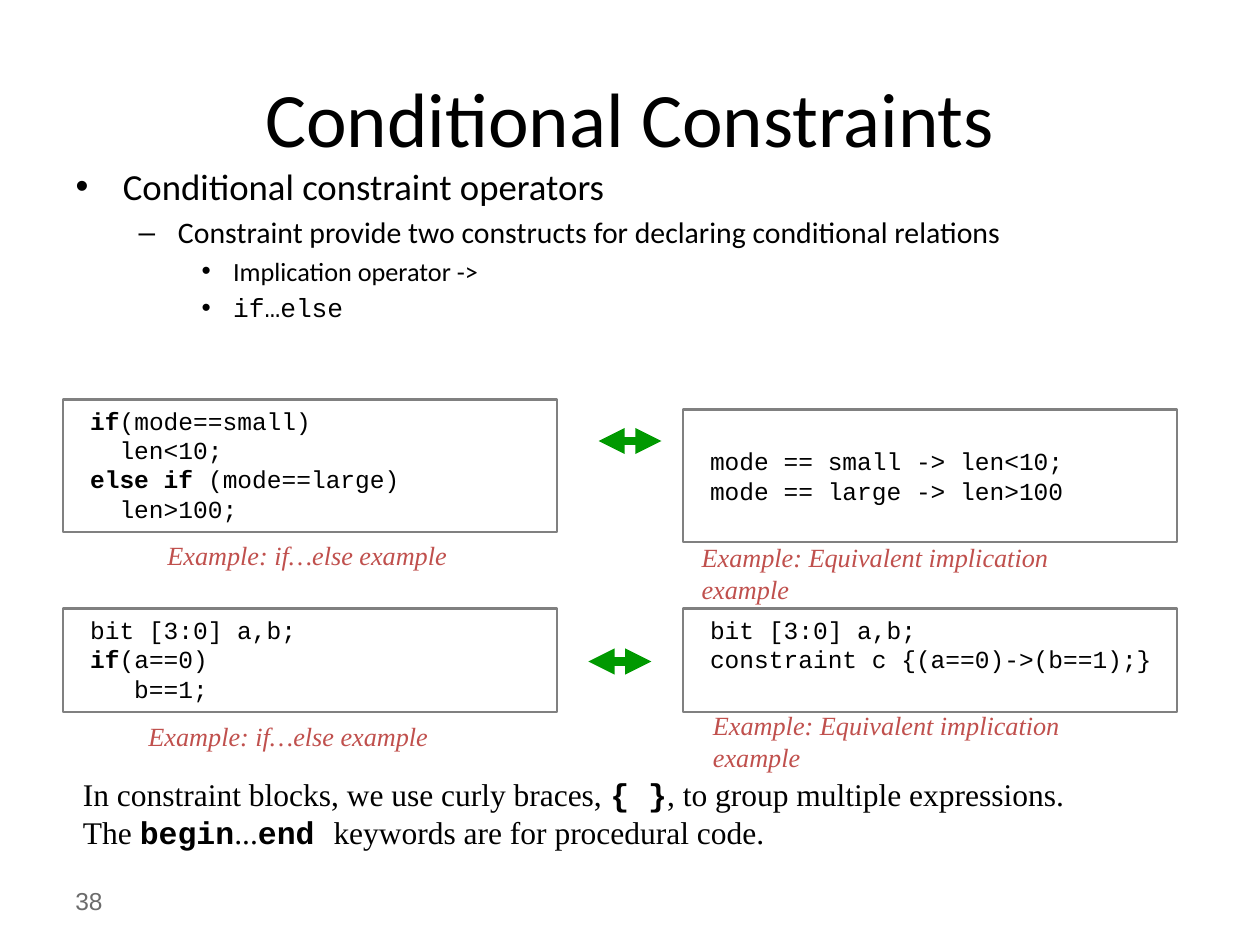
from pptx import Presentation
from pptx.dml.color import RGBColor
from pptx.enum.shapes import MSO_CONNECTOR, MSO_SHAPE
from pptx.enum.text import MSO_ANCHOR, MSO_AUTO_SIZE, PP_ALIGN
from pptx.oxml.ns import qn
from pptx.util import Inches, Pt
from lxml.etree import SubElement

COLORS = {"text": "000000", "number": "6B6B6B", "border": "808080",
          "caption": "C0504D", "arrow": "009900"}
CODE = "Courier New"
SERIF = "Times New Roman"
BOLD = {"bold": True}
BOLD_CODE = {"bold": True, "font": CODE}


def write_text(shape, paragraphs, size=14, font="Calibri", color="text", italic=False,
               align=None, anchor=MSO_ANCHOR.TOP, wrap=True):
    frame = shape.text_frame
    frame.auto_size = MSO_AUTO_SIZE.NONE
    frame.word_wrap = wrap
    frame.vertical_anchor = anchor
    for index, runs in enumerate(paragraphs):
        paragraph = frame.add_paragraph() if index else frame.paragraphs[0]
        paragraph.alignment = align
        for text, style in runs:
            run = paragraph.add_run()
            run.text = text
            run.font.size = Pt(style.get("size", size))
            run.font.name = style.get("font", font)
            run.font.bold = style.get("bold", False)
            run.font.italic = italic
            run.font.color.rgb = RGBColor.from_string(COLORS[color])


presentation = Presentation()
presentation.slide_width = Inches(10)
presentation.slide_height = Inches(7.5)
slide = presentation.slides.add_slide(presentation.slide_layouts[1])
shapes = slide.shapes

title = shapes.title
title.left, title.top, title.width, title.height = (Inches(v) for v in (0.5, 0.3, 9, 1.25))
write_text(title, [[("Conditional Constraints", {})]], size=44,
           align=PP_ALIGN.CENTER, anchor=MSO_ANCHOR.MIDDLE)

body = slide.placeholders[1]
body.left, body.top, body.width, body.height = (Inches(v) for v in (0.5, 1.25, 9, 4.95))
write_text(body, [
    [("Conditional constraint operators", {"size": 21})],
    [("Constraint provide two constructs for declaring conditional relations", {"size": 17})],
    [("Implication operator ->", {})],
    [("if…else", {"font": CODE})],
], size=15)
for paragraph, level in zip(body.text_frame.paragraphs, (0, 1, 2, 2)):
    paragraph.level = level
body.text_frame.paragraphs[0].space_before = Pt(0)

code_boxes = [
    (0.5, 3.17, 1.05, MSO_ANCHOR.TOP, [
        [(" ", {}), ("if", BOLD), ("(mode==small)", {})],
        [("   len<10;", {})],
        [(" ", {}), ("else if", BOLD), (" (mode==large)", {})],
        [("   len>100;", {})]]),
    (5.42, 3.25, 1.05, MSO_ANCHOR.MIDDLE, [
        [(" mode == small -> len<10;", {})],
        [(" mode == large -> len>100", {})]]),
    (0.5, 4.83, 0.82, MSO_ANCHOR.TOP, [
        [(" bit [3:0] a,b;", {})],
        [(" ", {}), ("if", BOLD), ("(a==0)", {})],
        [("    b==1;", {})]]),
    (5.42, 4.83, 0.82, MSO_ANCHOR.TOP, [
        [(" bit [3:0] a,b;", {})],
        [(" constraint c {(a==0)->(b==1);}", {})]]),
]
for left, top, height, anchor, lines in code_boxes:
    box = shapes.add_shape(MSO_SHAPE.RECTANGLE, Inches(left), Inches(top),
                           Inches(3.92), Inches(height))
    box.shadow.inherit = False
    box.fill.background()
    box.line.color.rgb = RGBColor.from_string(COLORS["border"])
    box.line.width = Pt(1.25)
    write_text(box, lines, font=CODE, align=PP_ALIGN.LEFT, anchor=anchor)

for left, top in ((4.75, 3.5), (4.67, 5.25)):
    arrow = shapes.add_connector(MSO_CONNECTOR.STRAIGHT, Inches(left), Inches(top),
                                 Inches(left + 0.5), Inches(top))
    arrow.line.color.rgb = RGBColor.from_string(COLORS["arrow"])
    arrow.line.width = Pt(5)
    line = arrow.line._get_or_add_ln()
    for end in ("a:headEnd", "a:tailEnd"):
        SubElement(line, qn(end), type="triangle")
    SubElement(arrow._element.spPr, qn("a:effectLst"))

captions = [
    (1.23, 4.23, 2.42, False, "Example: if…else example"),
    (5.47, 4.25, 3.69, True, "Example: Equivalent implication example"),
    (1.08, 5.67, 2.42, False, "Example: if…else example"),
    (5.56, 5.58, 3.69, True, "Example: Equivalent implication example"),
]
for left, top, width, wrap, text in captions:
    caption = shapes.add_textbox(Inches(left), Inches(top), Inches(width), Inches(0.35))
    write_text(caption, [[(text, {})]], size=15, font=SERIF, color="caption",
               italic=True, wrap=wrap)

note = shapes.add_textbox(Inches(0.56), Inches(6.1), Inches(8.78), Inches(0.71))
write_text(note, [
    [("In constraint blocks, we use curly braces, ", {}), ("{ }", BOLD_CODE),
     (", to group multiple expressions.", {})],
    [("The ", {}), ("begin", BOLD_CODE), ("...", {}), ("end ", BOLD_CODE),
     ("keywords are for procedural code.", {})],
], size=18, font=SERIF)

number = shapes.add_textbox(Inches(0.5), Inches(6.95), Inches(2.33), Inches(0.4))
write_text(number, [[("38", {})]], font="Arial", color="number", anchor=MSO_ANCHOR.MIDDLE)

presentation.save("out.pptx")
